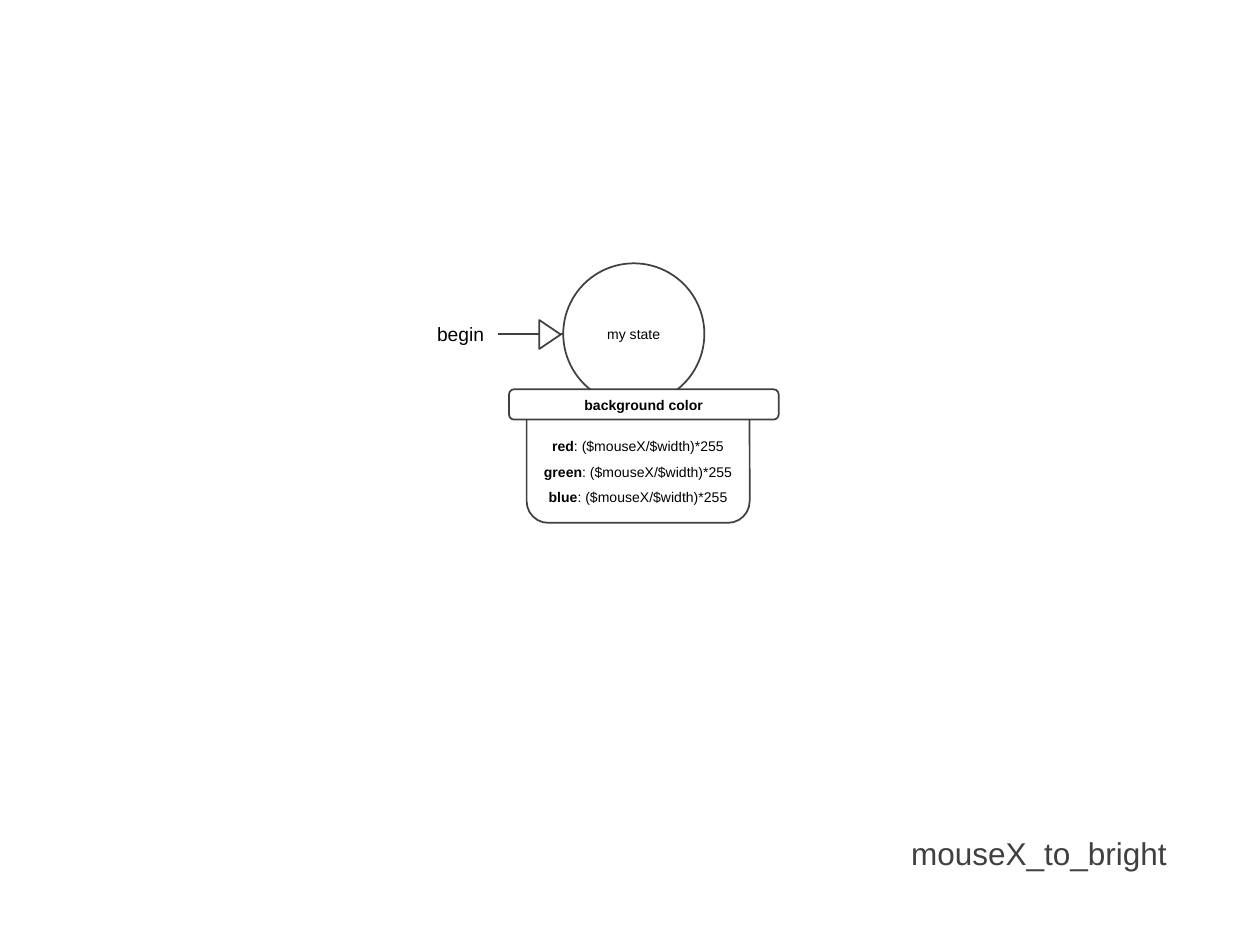
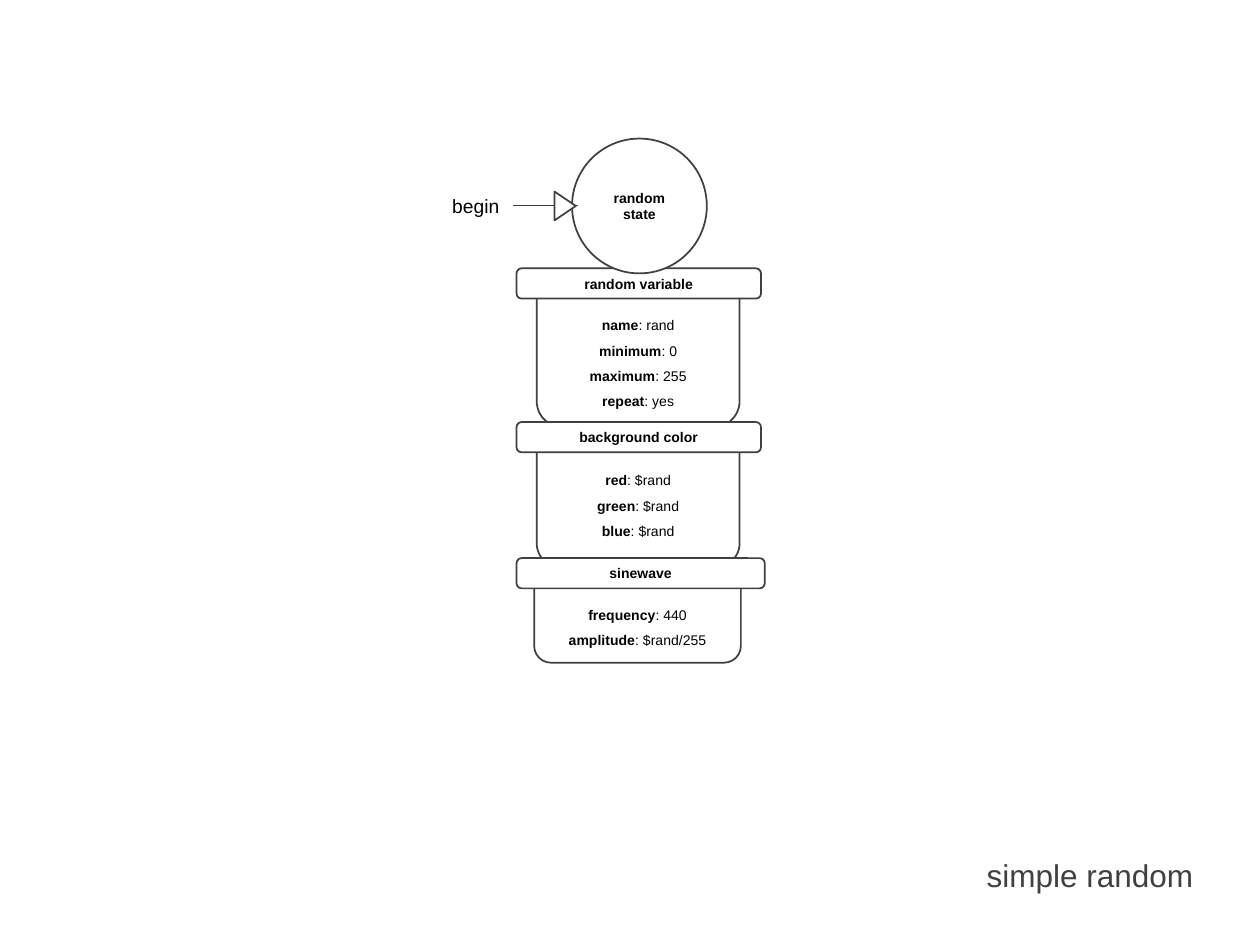
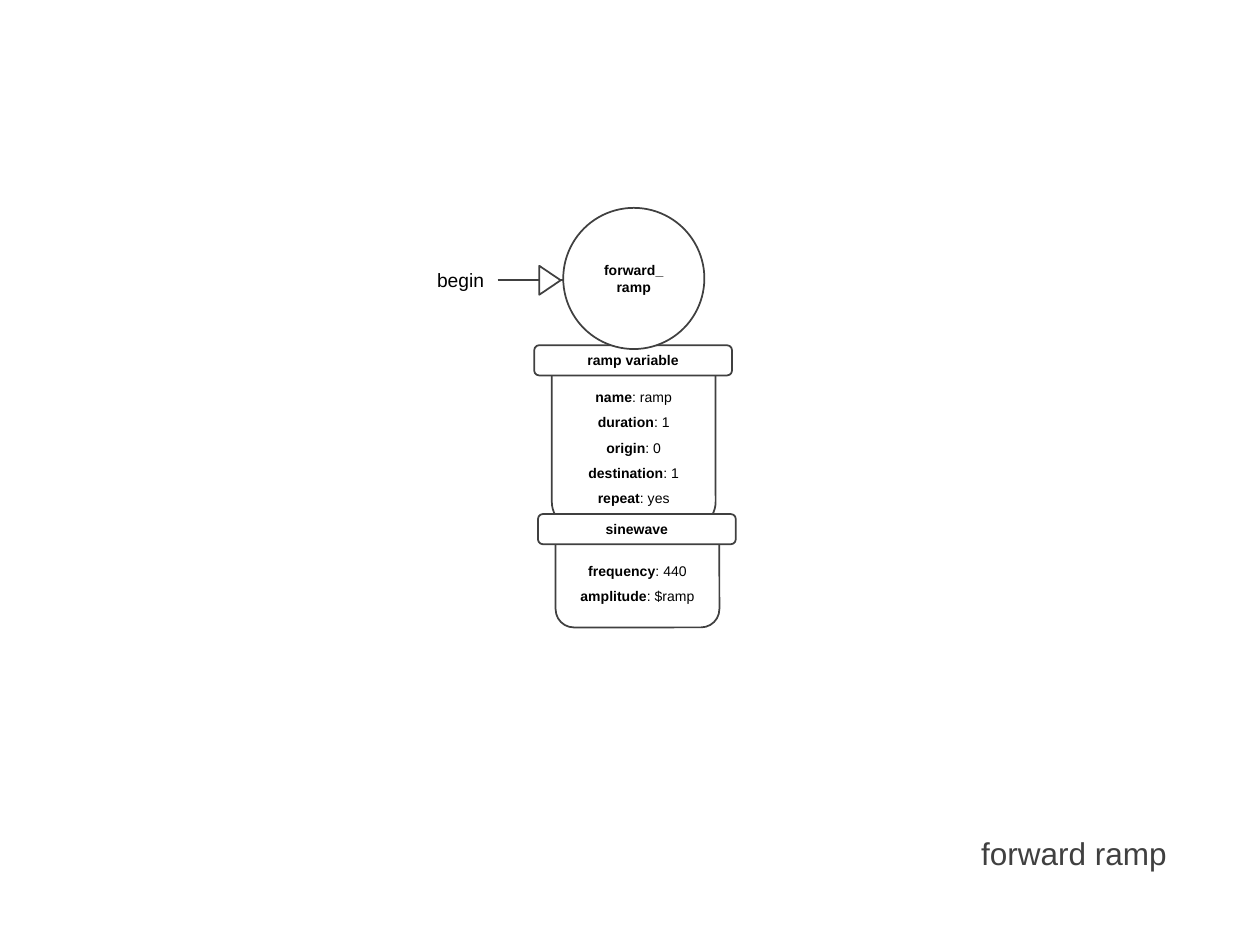
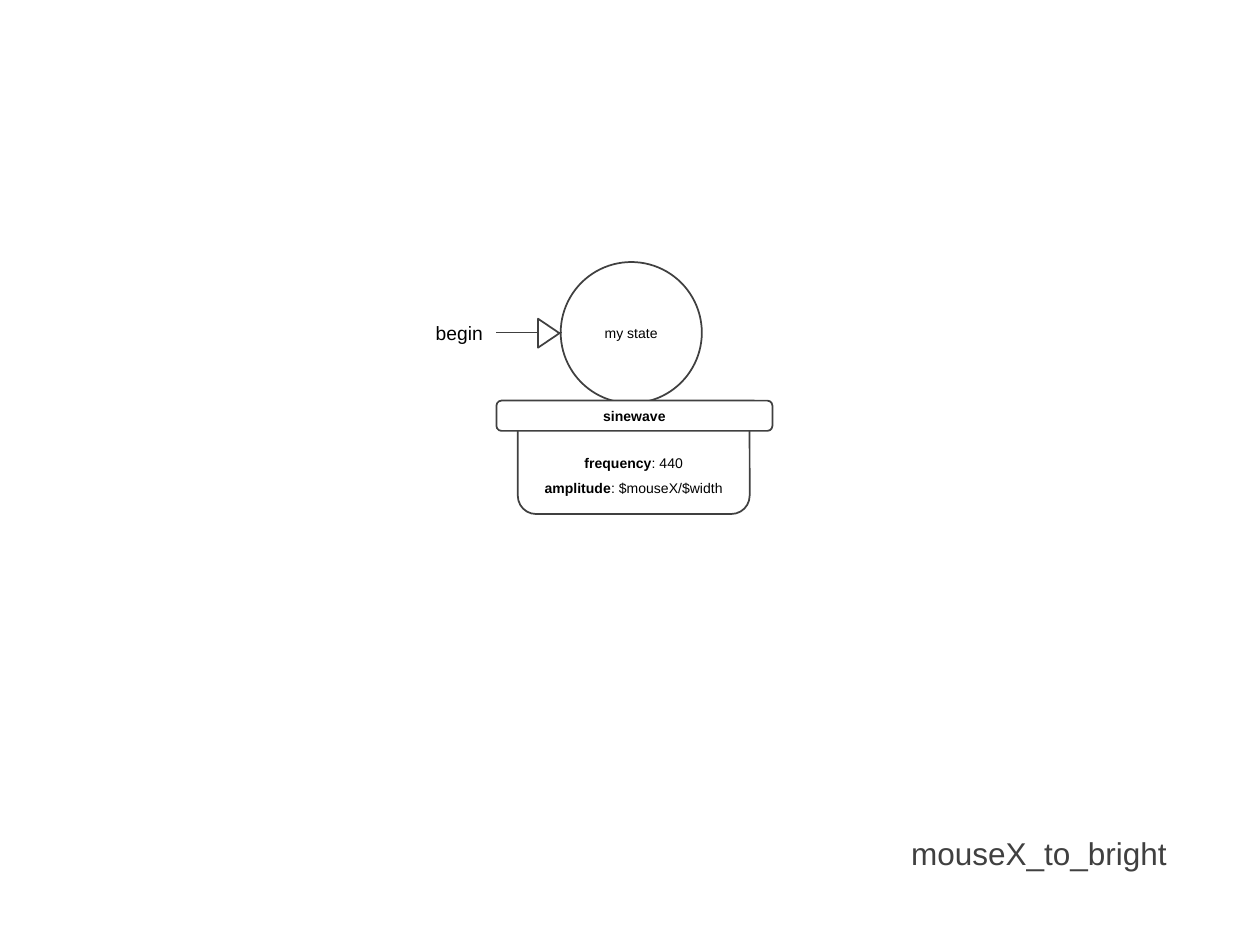
from pptx import Presentation
from pptx.dml.color import RGBColor
from pptx.enum.shapes import MSO_CONNECTOR, MSO_SHAPE
from pptx.enum.text import MSO_ANCHOR, MSO_AUTO_SIZE, PP_ALIGN
from pptx.oxml.ns import qn
from pptx.util import Inches, Pt
from lxml.etree import SubElement

COLORS = {"paper": "FFFFFF", "outline": "404040", "text": "000000"}
FONT = "Arial"
BAND_HEIGHT = 0.24
BODY_OFFSET = 0.03
TITLE_AREA = (5.34, 6.42, 4.02, 0.53)

SLIDES = [
    {
        "title": "mouseX_to_bright",
        "title_area": TITLE_AREA,
        "begin": (3.37, 2.51),
        "state": {"name": "my state", "bold": False, "in_front": False,
                  "area": (4.47, 2.09, 1.12, 1.12)},
        "actions": [
            {"name": "background color", "band": (4.04, 3.09, 2.14),
             "body": (4.18, 1.77, 1.03), "text_top": 3.36,
             "settings": [("red", "($mouseX/$width)*255"),
                          ("green", "($mouseX/$width)*255"),
                          ("blue", "($mouseX/$width)*255")]},
        ],
    },
    {
        "title": "simple random",
        "title_area": (1.96, 6.59, 7.61, 0.53),
        "begin": (3.49, 1.49),
        "state": {"name": "random state", "bold": True, "in_front": True,
                  "area": (4.54, 1.1, 1.07, 1.07)},
        "actions": [
            {"name": "random variable", "band": (4.1, 2.13, 1.94),
             "body": (4.26, 1.61, 1.23), "text_top": 2.4,
             "settings": [("name", "rand"), ("minimum", "0"),
                          ("maximum", "255"), ("repeat", "yes")]},
            {"name": "background color", "band": (4.1, 3.35, 1.94),
             "body": (4.26, 1.61, 1.12), "text_top": 3.63,
             "settings": [("red", "$rand"), ("green", "$rand"),
                          ("blue", "$rand")]},
            {"name": "sinewave", "band": (4.1, 4.43, 1.97),
             "body": (4.24, 1.64, 0.8), "text_top": 4.7,
             "settings": [("frequency", "440"), ("amplitude", "$rand/255")]},
        ],
    },
    {
        "title": "forward ramp",
        "title_area": TITLE_AREA,
        "begin": (3.37, 2.08),
        "state": {"name": "forward_\nramp", "bold": True, "in_front": True,
                  "area": (4.47, 1.65, 1.12, 1.12)},
        "actions": [
            {"name": "ramp variable", "band": (4.24, 2.74, 1.57),
             "body": (4.38, 1.3, 1.43), "text_top": 2.97,
             "settings": [("name", "ramp"), ("duration", "1"),
                          ("origin", "0"), ("destination", "1"),
                          ("repeat", "yes")]},
            {"name": "sinewave", "band": (4.27, 4.08, 1.57),
             "body": (4.41, 1.3, 0.87), "text_top": 4.35,
             "settings": [("frequency", "440"), ("amplitude", "$ramp")]},
        ],
    },
    {
        "title": "mouseX_to_bright",
        "title_area": TITLE_AREA,
        "begin": (3.36, 2.5),
        "state": {"name": "my state", "bold": False, "in_front": False,
                  "area": (4.45, 2.08, 1.12, 1.12)},
        "actions": [
            {"name": "sinewave", "band": (3.94, 3.18, 2.19),
             "body": (4.11, 1.84, 0.87), "text_top": 3.49,
             "settings": [("frequency", "440"),
                          ("amplitude", "$mouseX/$width")]},
        ],
    },
]


def color(name):
    return RGBColor.from_string(COLORS[name])


def lengths(*values):
    return [Inches(value) for value in values]


def write(box, paragraphs, size=8, ink="text", align=PP_ALIGN.CENTER,
          spacing=None, anchor=MSO_ANCHOR.TOP, wrap=True,
          auto_size=MSO_AUTO_SIZE.NONE):
    frame = box.text_frame
    frame.word_wrap = wrap
    frame.auto_size = auto_size
    frame.vertical_anchor = anchor
    for number, spans in enumerate(paragraphs):
        para = frame.add_paragraph() if number else frame.paragraphs[0]
        para.alignment = align
        para.line_spacing = spacing
        for text, bold in spans:
            for line_number, line in enumerate(text.split("\n")):
                if line_number:
                    para.add_line_break()
                span = para.add_run()
                span.text = line
                span.font.name = FONT
                span.font.size = Pt(size)
                span.font.bold = bold
                span.font.color.rgb = color(ink)


def set_outline(line):
    line.color.rgb = color("outline")
    line.width = Pt(1)


def add_outlined(shapes, kind, area):
    shape = shapes.add_shape(kind, *lengths(*area))
    shape.shadow.inherit = False
    shape.fill.solid()
    shape.fill.fore_color.rgb = color("paper")
    set_outline(shape.line)
    return shape


def add_title(slide, text, area):
    title = slide.shapes.title
    title.left, title.top, title.width, title.height = lengths(*area)
    write(title, [[(text, False)]], size=18, ink="outline",
          align=PP_ALIGN.RIGHT, spacing=1.5)


def add_state(slide, state):
    circle = add_outlined(slide.shapes, MSO_SHAPE.OVAL, state["area"])
    write(circle, [[(state["name"], state["bold"])]],
          anchor=MSO_ANCHOR.MIDDLE)


def add_action(slide, action):
    band_left, band_top, band_width = action["band"]
    body_left, body_width, body_height = action["body"]
    add_outlined(slide.shapes, MSO_SHAPE.ROUNDED_RECTANGLE,
                 (body_left, band_top + BODY_OFFSET, body_width, body_height))
    band = add_outlined(slide.shapes, MSO_SHAPE.ROUNDED_RECTANGLE,
                        (band_left, band_top, band_width, BAND_HEIGHT))
    write(band, [[(action["name"], True)]], anchor=MSO_ANCHOR.MIDDLE)


def add_settings(slide, action):
    left, width, _ = action["body"]
    settings = action["settings"]
    box = slide.shapes.add_textbox(
        *lengths(left, action["text_top"], width, 0.1 + 0.2 * len(settings)))
    write(box, [[(key, True), (f": {value}", False)] for key, value in settings],
          spacing=1.5, auto_size=MSO_AUTO_SIZE.SHAPE_TO_FIT_TEXT)


def add_begin_arrow(slide, left, top):
    shapes = slide.shapes.add_group_shape().shapes
    start, height = left + 0.58, top + 0.14
    line = shapes.add_connector(MSO_CONNECTOR.STRAIGHT,
                                *lengths(start, height, start + 0.52, height))
    set_outline(line.line)
    SubElement(line._element.spPr, qn("a:effectLst"))
    head = add_outlined(shapes, MSO_SHAPE.ISOSCELES_TRIANGLE,
                        (left + 0.88, top + 0.06, 0.23, 0.17))
    head.rotation = 90
    label = shapes.add_textbox(*lengths(left, top, 0.58, 0.29))
    write(label, [[("begin", False)]], size=11, align=PP_ALIGN.LEFT,
          wrap=False, auto_size=MSO_AUTO_SIZE.SHAPE_TO_FIT_TEXT)


def add_diagram(deck, content):
    slide = deck.slides.add_slide(deck.slide_layouts.get_by_name("Title Only"))
    add_title(slide, content["title"], content["title_area"])
    state = content["state"]
    if not state["in_front"]:
        add_state(slide, state)
    for number, action in enumerate(content["actions"]):
        add_action(slide, action)
        if number == 0 and state["in_front"]:
            add_state(slide, state)
        add_settings(slide, action)
    add_begin_arrow(slide, *content["begin"])


def main():
    deck = Presentation()
    deck.slide_width, deck.slide_height = lengths(10, 7.5)
    for content in SLIDES:
        add_diagram(deck, content)
    deck.save("out.pptx")


if __name__ == "__main__":
    main()
